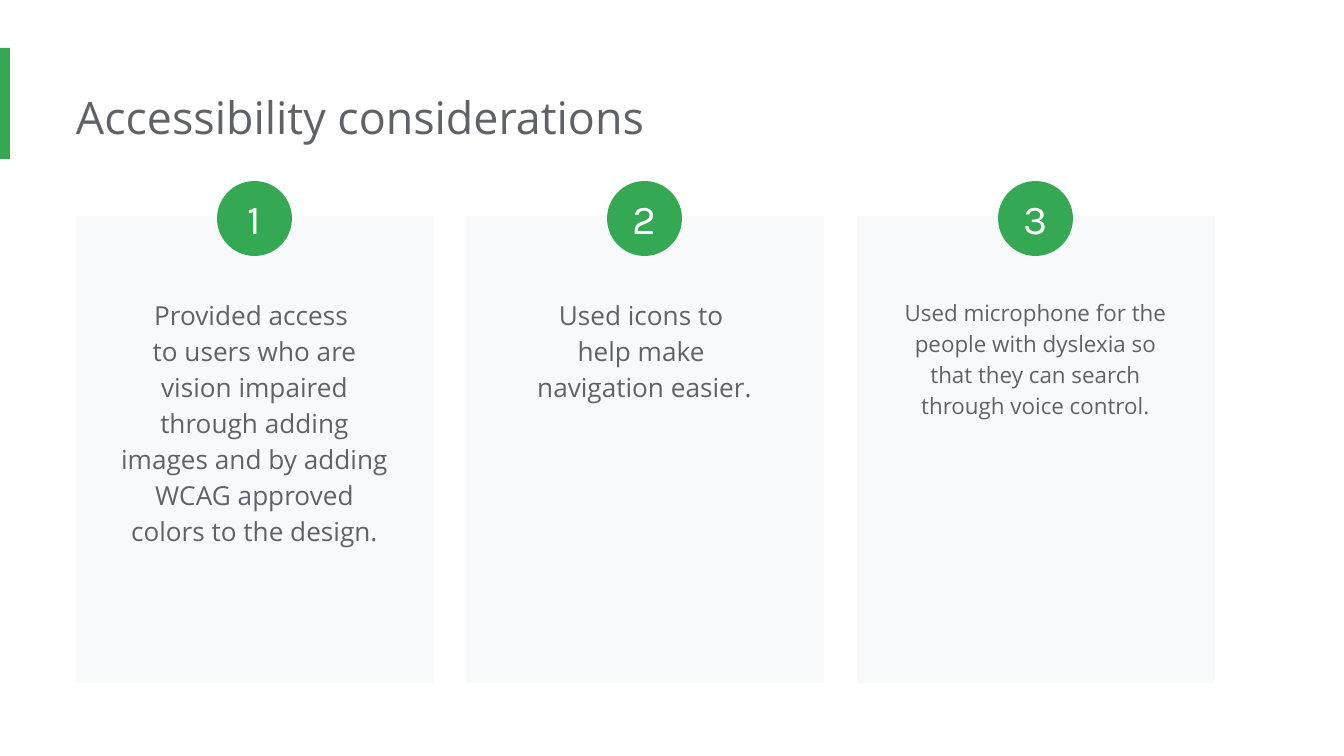
from pptx import Presentation
from pptx import util as u
from pptx.dml.color import RGBColor
from pptx.enum import shapes, text

GREEN = RGBColor(0x34, 0xA8, 0x53)
GREY = RGBColor(0x5F, 0x63, 0x68)
PALE = RGBColor(0xF8, 0xF9, 0xFA)
WHITE = RGBColor(0xFF, 0xFF, 0xFF)

SLIDE_WIDTH, SLIDE_HEIGHT = 1344, 756
SCALE = u.Inches(10) / SLIDE_WIDTH

MARGIN = 76
CARD_WIDTH, CARD_HEIGHT, CARD_TOP = 358, 467, 216
CARDS_SPAN = 1139
BADGE_SIZE = 75
BODY_WIDTH = 301

CARDS = [
    ("Provided access \nto users who are vision impaired through adding images "
     "and by adding WCAG approved colors to the design.", 14, 277),
    ("Used icons to \nhelp make \nnavigation easier.", 14, 132),
    ("Used microphone for the people with dyslexia so that they can search "
     "through voice control.", 12, 148),
]


def px(length):
    return u.Emu(round(length * SCALE))


class SlideBuilder:
    body_font = "Open Sans"
    badge_font = "Karla"
    inset = 13

    def __init__(self, slide):
        self.slide = slide

    def block(self, left, top, width, height, color, kind=shapes.MSO_SHAPE.RECTANGLE):
        shape = self.slide.shapes.add_shape(kind, px(left), px(top), px(width), px(height))
        shape.shadow.inherit = False
        shape.fill.solid()
        shape.fill.fore_color.rgb = color
        shape.line.fill.background()
        return shape

    def set_text(self, frame, words, size, font, color, align, insets):
        frame.word_wrap = True
        frame.margin_left, frame.margin_top, frame.margin_right, frame.margin_bottom = map(px, insets)
        paragraph = frame.paragraphs[0]
        paragraph.text = words
        paragraph.alignment = align
        paragraph.font.size = u.Pt(size)
        paragraph.font.name = font
        paragraph.font.color.rgb = color
        return paragraph

    def label(self, left, top, width, height, words, size,
              align=text.PP_ALIGN.LEFT, left_inset=inset, spacing=None):
        box = self.slide.shapes.add_textbox(px(left), px(top), px(width), px(height))
        frame = box.text_frame
        insets = (left_inset, self.inset, self.inset, self.inset)
        paragraph = self.set_text(frame, words, size, self.body_font, GREY, align, insets)
        paragraph.line_spacing = spacing
        frame.auto_size = text.MSO_AUTO_SIZE.SHAPE_TO_FIT_TEXT

    def badge(self, left, top, number):
        shape = self.block(left, top, BADGE_SIZE, BADGE_SIZE, GREEN, shapes.MSO_SHAPE.OVAL)
        frame = shape.text_frame
        frame.vertical_anchor = text.MSO_ANCHOR.MIDDLE
        self.set_text(frame, str(number), 22, self.badge_font, WHITE,
                      text.PP_ALIGN.CENTER, (0, 0, 0, 0))

    def card(self, left, number, words, size, body_height):
        self.block(left, CARD_TOP, CARD_WIDTH, CARD_HEIGHT, PALE)
        self.label(left + (CARD_WIDTH - BODY_WIDTH) // 2, 282, BODY_WIDTH, body_height,
                   words, size, align=text.PP_ALIGN.CENTER, spacing=1.15)
        self.badge(left + (CARD_WIDTH - BADGE_SIZE) // 2, 181, number)


def main():
    presentation = Presentation()
    presentation.slide_width = px(SLIDE_WIDTH)
    presentation.slide_height = px(SLIDE_HEIGHT)
    builder = SlideBuilder(presentation.slides.add_slide(presentation.slide_layouts[6]))

    builder.block(0, 48, 10, 111, GREEN)
    builder.label(MARGIN, 77, 1030, 82, "Accessibility considerations", 24, left_inset=0)

    pitch = (CARDS_SPAN - CARD_WIDTH) / (len(CARDS) - 1)
    for index, (words, size, body_height) in enumerate(CARDS):
        builder.card(MARGIN + round(index * pitch), index + 1, words, size, body_height)

    presentation.save("out.pptx")


if __name__ == "__main__":
    main()
